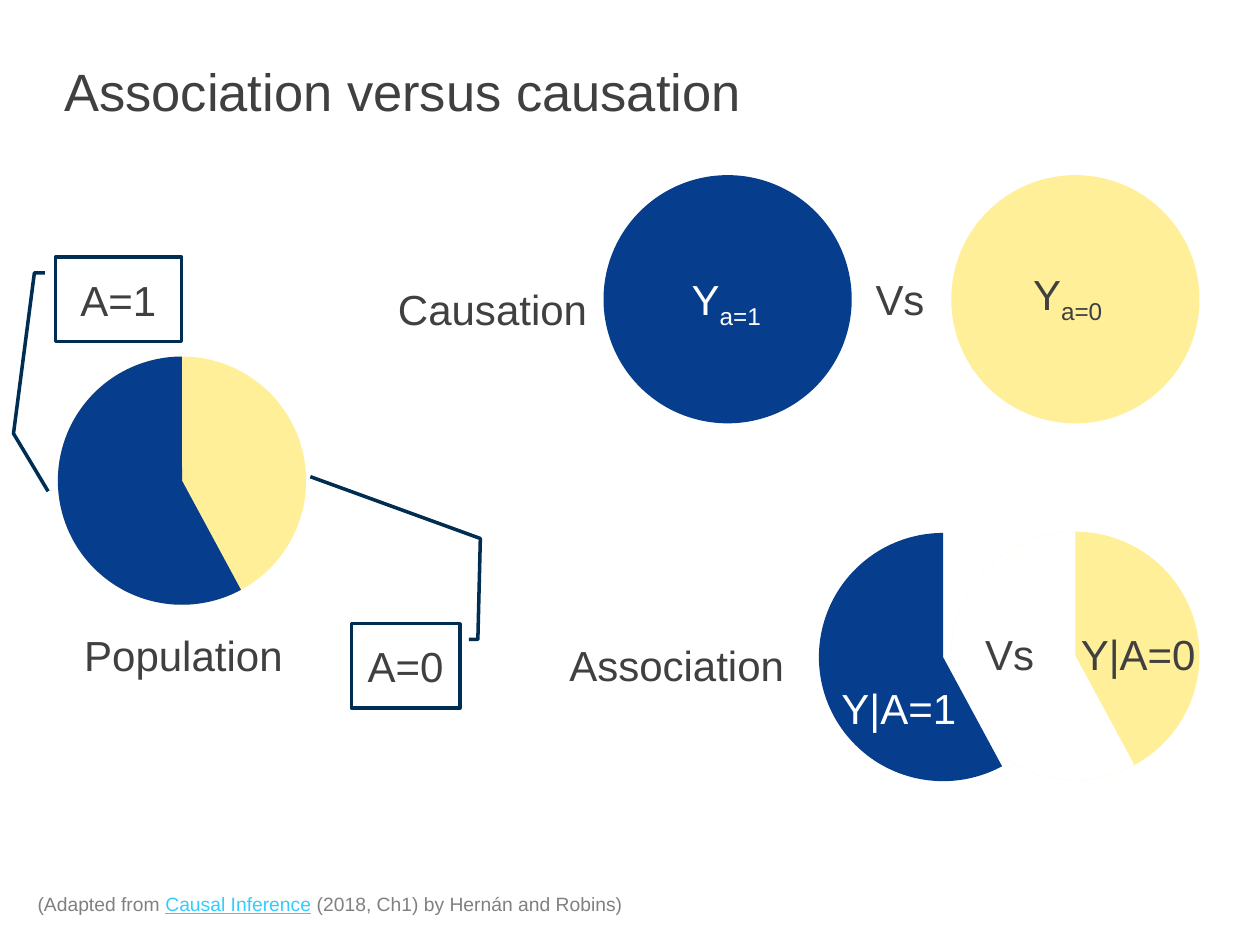
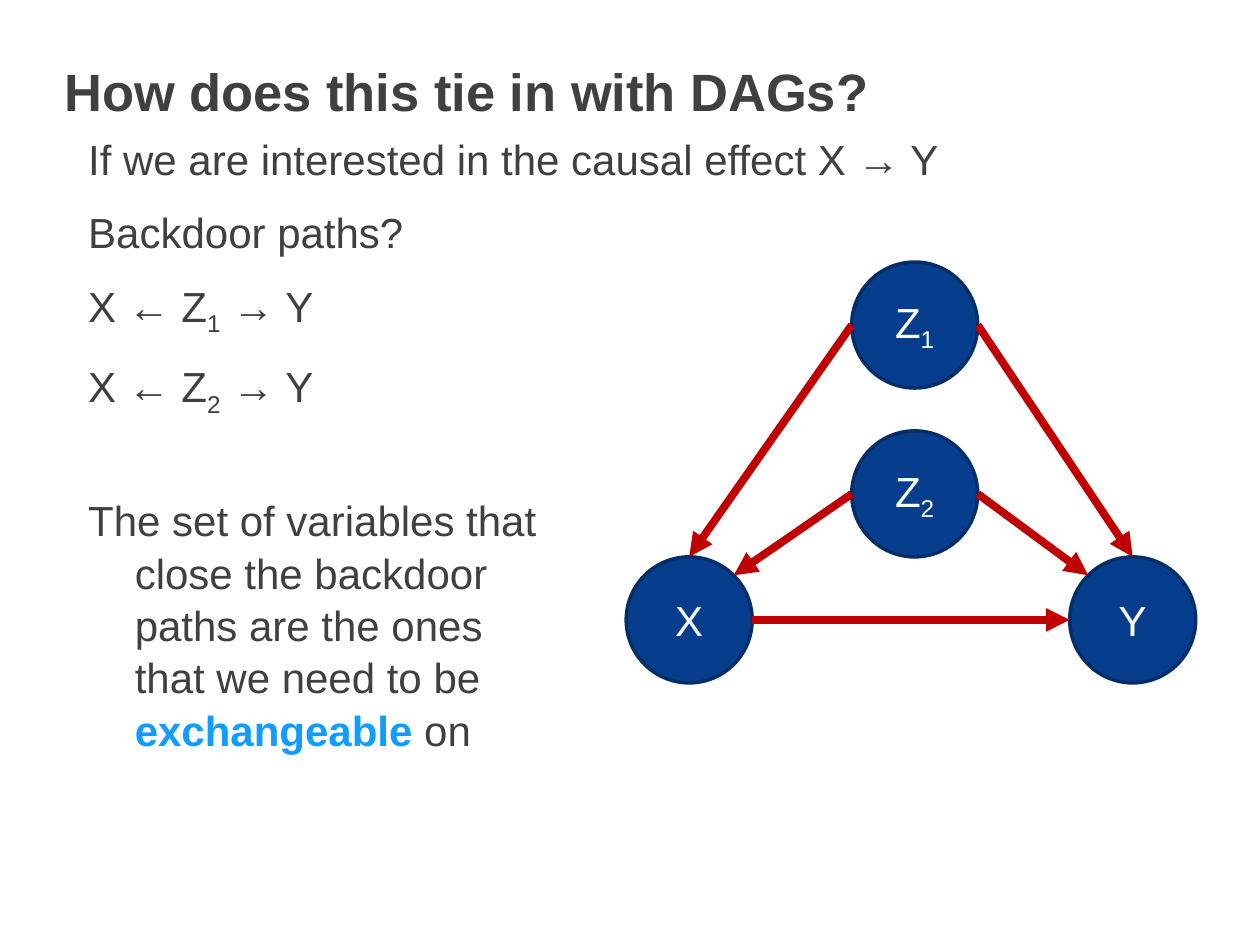
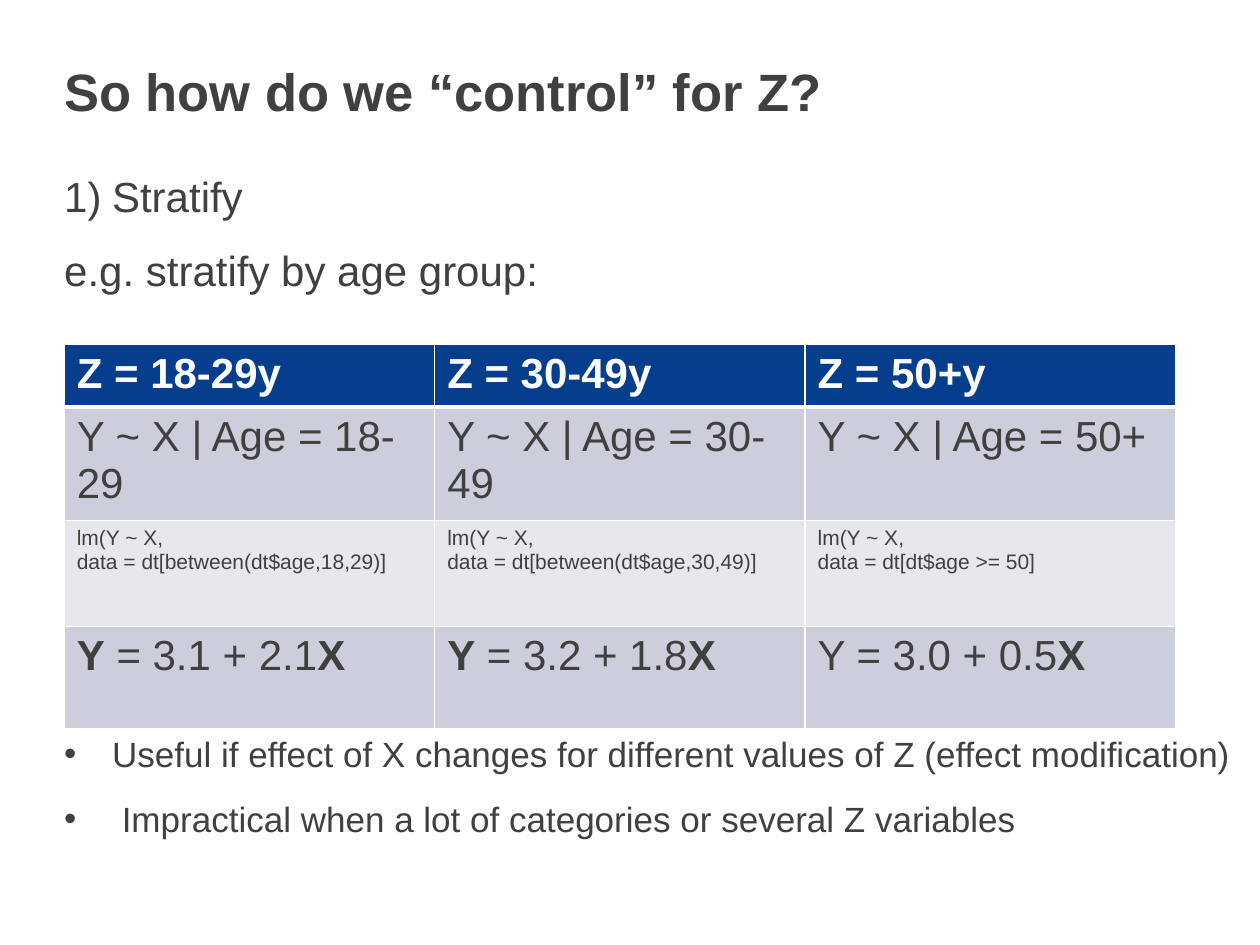
"""Build three slides on association, causation and controlling for variables."""
import dataclasses
import math

import lxml.etree
import pptx
import pptx.dml.color
import pptx.enum.shapes
import pptx.enum.text
import pptx.oxml.ns
import pptx.util

Inches = pptx.util.Inches
Shapes = pptx.enum.shapes.MSO_SHAPE
qn = pptx.oxml.ns.qn


@dataclasses.dataclass(frozen=True)
class Theme:
    font: str = "Arial"
    ink: str = "404040"
    white: str = "FFFFFF"
    blue: str = "063E8D"
    yellow: str = "FFEF99"
    navy: str = "002E52"
    rim: str = "042E68"
    arrow: str = "C00000"
    accent: str = "119DFF"
    link: str = "33CCFF"
    grey: str = "808080"
    band: str = "CCCEDB"
    light: str = "E7E8EE"
    title: int = 30
    body: int = 24
    bullet: int = 20
    code: int = 12
    note: int = 11
    leading: float = 1.04
    gap: int = 12


THEME = Theme()
SUB = {"baseline": -25000}
BOLD = {"bold": True}


def rgb(color):
    return pptx.dml.color.RGBColor.from_string(color)


def child(parent, tag, **attributes):
    return lxml.etree.SubElement(parent, qn(tag), {key: str(value) for key, value in attributes.items()})


def write_span(para, text, size=THEME.body, color=THEME.ink, bold=False, underline=False, baseline=None):
    span = para.add_run()
    span.text = text
    font = span.font
    font.name, font.size, font.bold = THEME.font, pptx.util.Pt(size), bold
    font.underline = underline
    font.color.rgb = rgb(color)
    if baseline:
        span._r.get_or_add_rPr().set("baseline", str(baseline))


def write(frame, lines, align=None, gap=None, leading=None, indent=0, marks=(), **font):
    """Write lines, each a string or a list of strings and (string, format) pairs."""
    for index, line in enumerate(lines):
        para = frame.add_paragraph() if index else frame.paragraphs[0]
        para.alignment, para.line_spacing = align, leading
        if gap:
            para.space_before = pptx.util.Pt(gap)
        mark = marks[index] if index < len(marks) else None
        if indent and (mark or not marks):
            properties = para._p.get_or_add_pPr()
            properties.set("marL", str(Inches(indent)))
            properties.set("indent", str(-Inches(indent)))
            if mark == "1)":
                child(properties, "a:buAutoNum", type="arabicParenR")
            elif mark:
                child(properties, "a:buFont", typeface=THEME.font)
                child(properties, "a:buChar", char=mark)
        for piece in [line] if isinstance(line, str) else line:
            text, changes = (piece, {}) if isinstance(piece, str) else piece
            write_span(para, text, **{**font, **changes})


class Slides:
    def __init__(self, theme):
        self.theme = theme
        self.deck = pptx.Presentation()
        self.deck.slide_width, self.deck.slide_height = Inches(10), Inches(7.5)
        self.page = None

    def start(self, title, bold=True):
        self.page = self.deck.slides.add_slide(self.deck.slide_layouts[6])
        self.text(0.51, 0.47, 8.98, 0.5, [title], inset=False, size=self.theme.title, bold=bold)

    def text(self, left, top, width, height, lines, inset=True, wrap=True, **style):
        box = self.page.shapes.add_textbox(*map(Inches, (left, top, width, height)))
        frame = box.text_frame
        frame.word_wrap = wrap
        if not inset:
            frame.margin_left = frame.margin_right = frame.margin_top = frame.margin_bottom = 0
        write(frame, lines, **style)

    def body(self, left, top, width, height, lines, **style):
        self.text(left, top, width, height, lines, inset=False,
                  gap=self.theme.gap, leading=self.theme.leading, **style)

    def shape(self, kind, left, top, width, height, fill, line=None, adjust=(), label=None, color=THEME.ink):
        shape = self.page.shapes.add_shape(kind, *map(Inches, (left, top, width, height)))
        shape.shadow.inherit = False
        shape.fill.solid()
        shape.fill.fore_color.rgb = rgb(fill)
        if line:
            shape.line.color.rgb, shape.line.width = rgb(line), pptx.util.Pt(2)
        else:
            shape.line.fill.background()
        for index, value in enumerate(adjust):
            shape.adjustments[index] = value
        if label:
            shape.text_frame.vertical_anchor = pptx.enum.text.MSO_ANCHOR.MIDDLE
            write(shape.text_frame, [label], align=pptx.enum.text.PP_ALIGN.CENTER, color=color)
        return shape

    def disc(self, left, top, fill):
        self.shape(Shapes.OVAL, left, top, 1.97, 1.97, fill)

    def wedge(self, left, top, fill):
        self.shape(Shapes.PIE, left, top, 1.97, 1.97, fill, adjust=(36.964, 162))

    def callout(self, left, top, width, label, adjust, flip=False):
        shape = self.shape(Shapes.LINE_CALLOUT_3, left, top, width, 0.67, self.theme.white,
                           line=self.theme.navy, adjust=adjust, label=label)
        if flip:
            shape._element.spPr.find(qn("a:xfrm")).set("flipH", "1")

    def node(self, center, label):
        x, y = center
        self.shape(Shapes.OVAL, x - 0.5, y - 0.5, 1, 1, self.theme.blue, line=self.theme.rim,
                   label=label, color=self.theme.white)

    def arrow(self, start, end):
        line = self.page.shapes.add_connector(pptx.enum.shapes.MSO_CONNECTOR.STRAIGHT,
                                              *map(Inches, (*start, *end)))
        line.line.color.rgb, line.line.width = rgb(self.theme.arrow), pptx.util.Pt(4.5)
        child(line.line._get_or_add_ln(), "a:tailEnd", type="triangle")
        child(line._element.spPr, "a:effectLst")

    def table(self, left, top, width, heights, rows, fills, styles):
        columns = len(rows[0])
        frame = self.page.shapes.add_table(len(rows), columns,
                                           *map(Inches, (left, top, width * columns, sum(heights))))
        table = frame.table
        for column in table.columns:
            column.width = Inches(width)
        for index, row in enumerate(rows):
            table.rows[index].height = Inches(heights[index])
            for cell, lines in zip(table.rows[index].cells, rows[index]):
                cell.fill.solid()
                cell.fill.fore_color.rgb = rgb(fills[index])
                write(cell.text_frame, lines, **styles[index])
                self.borders(cell, top=3 if index == 1 else 1, bottom=1 if index else 3)

    def borders(self, cell, top, bottom):
        properties = cell._tc.get_or_add_tcPr()
        for index, (side, width) in enumerate(zip("LRTB", (1, 1, top, bottom))):
            line = child(properties, "a:ln" + side, w=pptx.util.Pt(width))
            child(child(line, "a:solidFill"), "a:srgbClr", val=self.theme.white)
            properties.insert(index, line)


def rim_point(center, degrees):
    angle = math.radians(degrees)
    return center[0] + 0.5 * math.cos(angle), center[1] - 0.5 * math.sin(angle)


def association_slide(slides):
    theme = slides.theme
    slides.start("Association versus causation", bold=False)
    slides.disc(0.46, 2.83, theme.yellow)
    slides.wedge(0.46, 2.83, theme.blue)
    source = ["(Adapted from\u00a0", ("Causal Inference", {"color": theme.link, "underline": True}),
              "\u00a0(2018, Ch1) by Hernán and Robins)"]
    slides.text(0.2, 7.03, 5, 0.29, [source], size=theme.note, color=theme.grey)
    slides.callout(0.44, 2.04, 1, "A=1", (0.188, -0.083, 0.188, -0.167, 2.091, -0.333, 2.775, -0.058))
    slides.callout(2.79, 4.95, 0.86, "A=0", (0.188, -0.083, 0.188, -0.167, -1.009, -0.19, -1.741, 1.38),
                   flip=True)

    slides.disc(7.55, 4.22, theme.yellow)
    slides.wedge(7.55, 4.22, theme.white)
    slides.wedge(6.5, 4.23, theme.blue)
    slides.disc(4.79, 1.39, theme.blue)
    slides.disc(7.55, 1.39, theme.yellow)
    for left, top, width, label in (
        (0.57, 4.95, 1.8, "Population"),
        (7.72, 4.94, 0.59, "Vs"),
        (4.42, 5.03, 1.93, "Association"),
        (6.85, 2.12, 0.59, "Vs"),
        (3.06, 2.2, 1.72, "Causation"),
    ):
        slides.text(left, top, width, 0.5, [label], wrap=False)
    for left, top, width, label, color in (
        (6.58, 5.37, 1.2, "Y|A=1", theme.white),
        (8.48, 4.94, 1.27, "Y|A=0", theme.ink),
        (5.39, 2.12, 0.79, ["Y", ("a=1", SUB)], theme.white),
        (8.1, 2.08, 0.79, ["Y", ("a=0", SUB)], theme.ink),
    ):
        slides.text(left, top, width, 0.5, [label], color=color)


def dag_slide(slides):
    slides.start("How does this tie in with DAGs?")
    paths = [["X ← Z", (number, SUB), " → Y"] for number in "12"]
    slides.body(0.7, 1.04, 8.98, 2.24, [
        "If we are interested in the causal effect X → Y", "Backdoor paths?", *paths], indent=0.37)
    exposure, outcome = (5.47, 4.92), (8.99, 4.92)
    upper, lower = (7.26, 2.58), (7.26, 3.92)
    for center, label in ((outcome, "Y"), (lower, ["Z", ("2", SUB)]),
                          (exposure, "X"), (upper, ["Z", ("1", SUB)])):
        slides.node(center, label)
    for start, leave, end, arrive in (
        (lower, 0, outcome, 135),
        (lower, 180, exposure, 45),
        (exposure, 0, outcome, 180),
        (upper, 0, outcome, 90),
        (upper, 180, exposure, 90),
    ):
        slides.arrow(rim_point(start, leave), rim_point(end, arrive))
    slides.body(0.7, 3.91, 3.63, 3.38, [[
        "The set of variables that close the backdoor paths are the ones that we need to be ",
        ("exchangeable", {"color": slides.theme.accent, "bold": True}), " on"]], indent=0.37)


def stratify_slide(slides):
    theme = slides.theme
    slides.start("So how do we “control” for Z?")
    slides.body(0.51, 1.34, 8.98, 1.23, ["Stratify", "e.g. stratify by age group:"],
                indent=0.38, marks=("1)",))
    ages = ("18-29", "30-49", "50+")
    subsets = ("between(dt$age,18,29)", "between(dt$age,30,49)", "dt$age >= 50")
    rows = [
        [[f"Z = {age}y"] for age in ages],
        [[f"Y ~ X | Age = {age}"] for age in ages],
        [["lm(Y ~ X,", f"data = dt[{subset}]"] for subset in subsets],
        [
            [[("Y", BOLD), " = 3.1 + 2.1", ("X", BOLD)]],
            [[("Y", BOLD), " = 3.2 + 1.8", ("X", BOLD)]],
            [["Y = 3.0 + 0.5", ("X", BOLD)]],
        ],
    ]
    slides.table(0.51, 2.73, 2.94, (0.47, 0.84, 0.84, 0.81), rows,
                 fills=(theme.blue, theme.band, theme.light, theme.band),
                 styles=({"color": theme.white, "bold": True}, {}, {"size": theme.code}, {}))
    slides.body(0.51, 5.8, 9.37, 1.23, [
        "Useful if effect of X changes for different values of Z (effect modification)",
        " Impractical when a lot of categories or several Z variables",
    ], indent=0.38, marks="••", size=theme.bullet)


def main():
    slides = Slides(THEME)
    association_slide(slides)
    dag_slide(slides)
    stratify_slide(slides)
    slides.deck.save("out.pptx")


if __name__ == "__main__":
    main()
